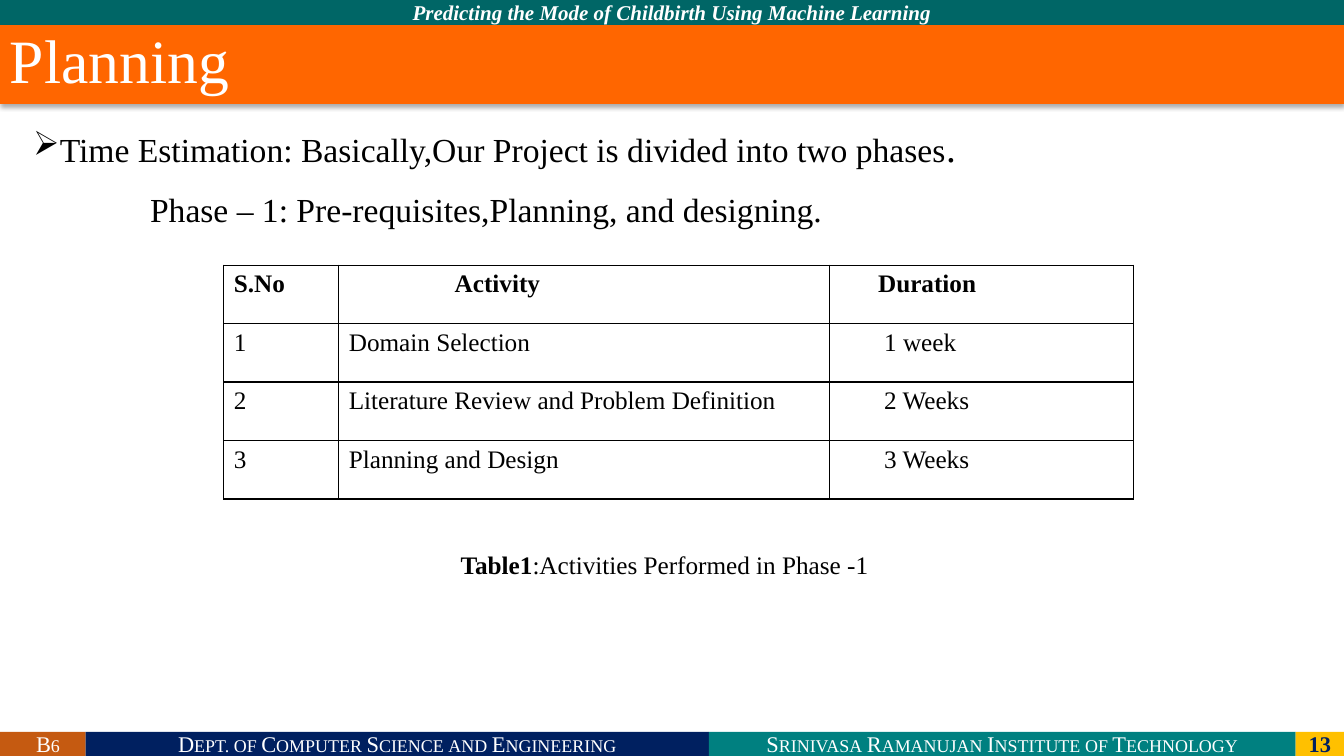
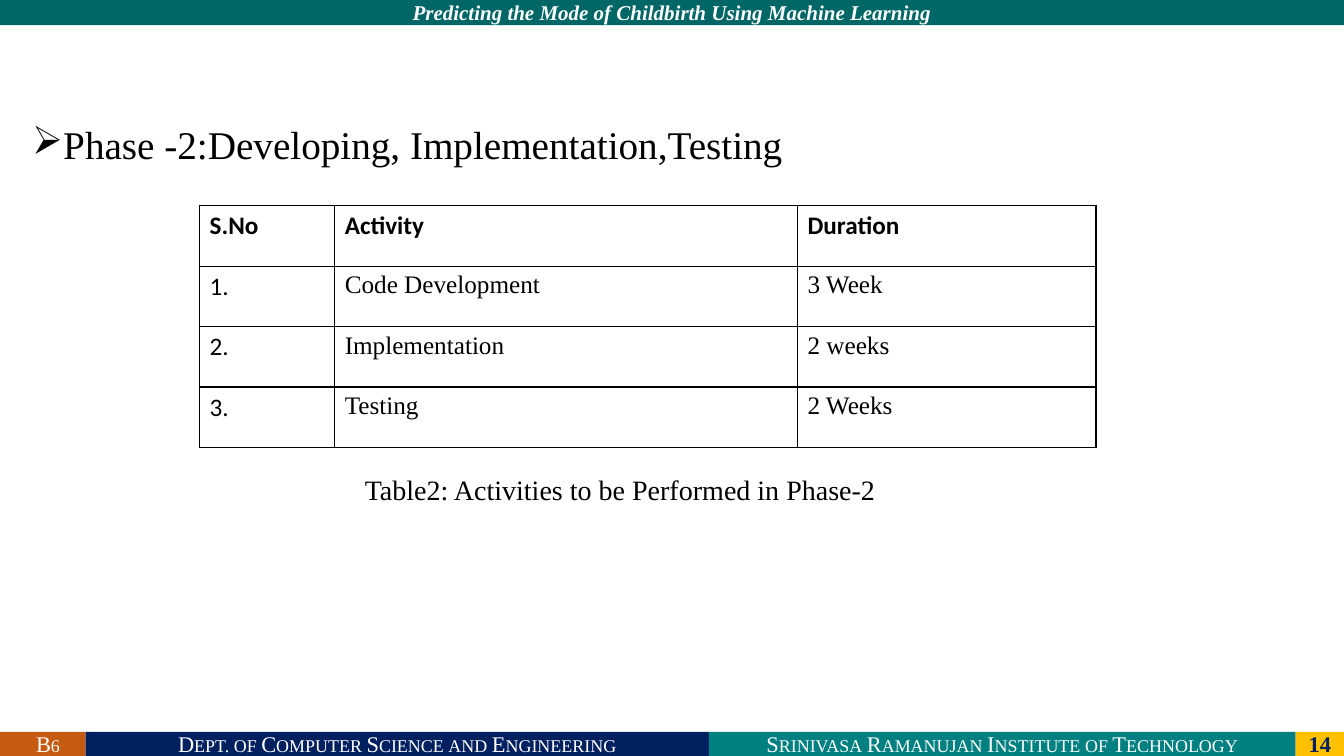
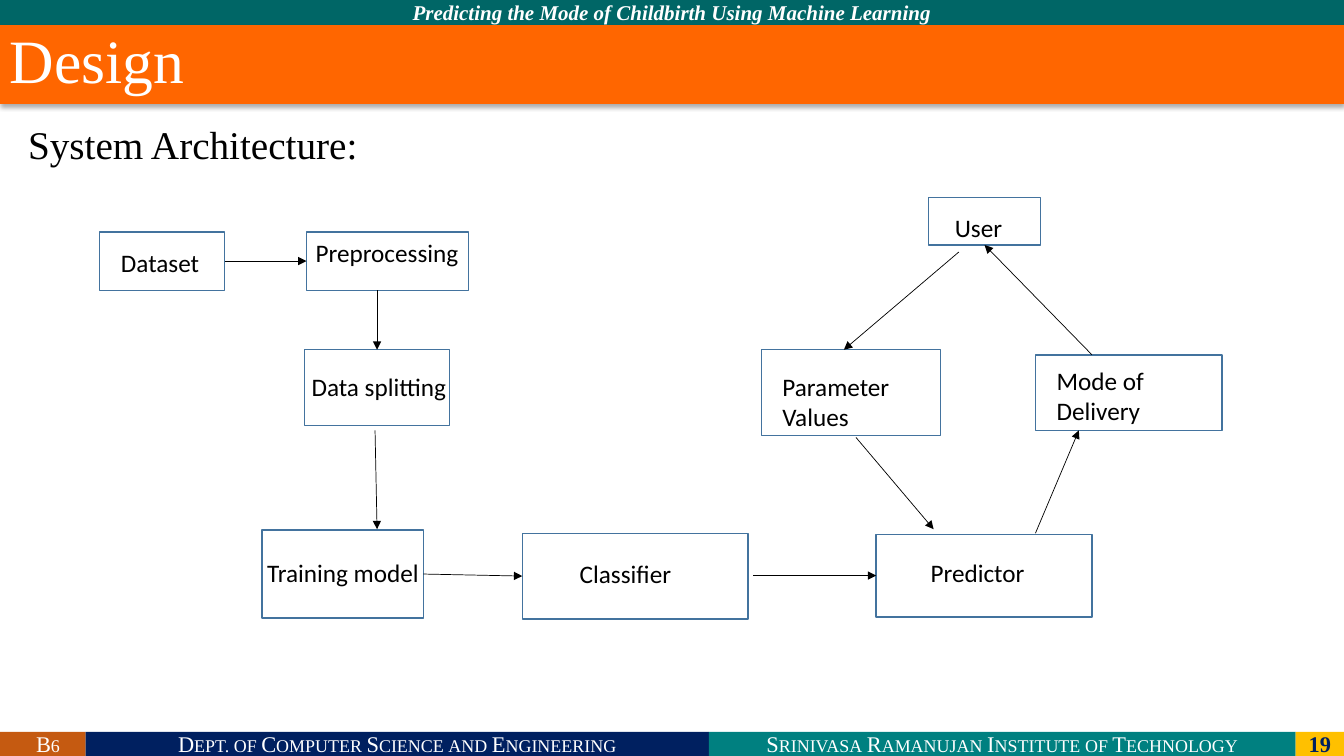
"""Build three project slides: two schedule tables and an architecture diagram."""
from dataclasses import dataclass, field, replace

import lxml.etree
import pptx
import pptx.dml.color
import pptx.enum.shapes
import pptx.enum.text
import pptx.oxml
import pptx.oxml.ns
import pptx.util

Inches = pptx.util.Inches
Pt = pptx.util.Pt
ALIGN = pptx.enum.text.PP_ALIGN
ANCHOR = pptx.enum.text.MSO_ANCHOR
TOP, LEFT, BOTTOM, RIGHT = range(4)


@dataclass(frozen=True)
class TextStyle:
    """Describe the look of a piece of text."""
    size: float
    color: str = "000000"
    font: str = "Times New Roman"
    bold: bool = False
    italic: bool = False
    small_caps: bool = False


@dataclass(frozen=True)
class Theme:
    """Hold the colours and type styles of the presentation."""
    white: str = "FFFFFF"
    black: str = "000000"
    teal: str = "006666"
    orange: str = "FF6600"
    rust: str = "C55A11"
    navy: str = "002060"
    sea: str = "008080"
    gold: str = "FFC000"
    outline: str = "43739E"
    header: TextStyle = TextStyle(15, "FFFFFF", bold=True, italic=True)
    title: TextStyle = TextStyle(44, "FFFFFF")
    footer: TextStyle = TextStyle(16, "FFFFFF", small_caps=True)
    number: TextStyle = TextStyle(16, "002060", bold=True)
    heading: TextStyle = TextStyle(28)
    body: TextStyle = TextStyle(24)
    caption: TextStyle = TextStyle(20)
    cell: TextStyle = TextStyle(18)
    label: TextStyle = TextStyle(18, font="Calibri")


THEME = Theme()


@dataclass
class Schedule:
    """Describe a schedule table by its columns and rows."""
    place: tuple
    column_widths: tuple
    row_height: float
    rows: list
    header_style: TextStyle
    column_styles: tuple
    header_insets: tuple = field(default=(0.1, 0.1, 0.1))
    column_insets: tuple = field(default=(0.1, 0.1, 0.1))


def rgb(color):
    """Return a colour object for a hexadecimal string."""
    return pptx.dml.color.RGBColor.from_string(color)


def add_xml(parent, markup):
    """Append a DrawingML element given as markup without namespaces."""
    name, rest = markup[1:].split(" ", 1)
    declaration = pptx.oxml.ns.nsdecls("a")
    parent.append(pptx.oxml.parse_xml(f"<{name} {declaration} {rest}"))


def apply_style(font, style):
    """Apply a text style to a font."""
    font.name = style.font
    font.size = Pt(style.size)
    font.bold = style.bold
    font.italic = style.italic
    font.color.rgb = rgb(style.color)


def write_paragraph(paragraph, runs, align=ALIGN.LEFT):
    """Write styled runs, setting the font on the paragraph if there is one."""
    paragraph.alignment = align
    for text, style in runs:
        run = paragraph.add_run()
        run.text = text
        if len(runs) > 1:
            apply_style(run.font, style)
    if len(runs) == 1:
        apply_style(paragraph.font, runs[0][1])
        if runs[0][1].small_caps:
            properties = paragraph._p.get_or_add_pPr()
            properties.get_or_add_defRPr().set("cap", "small")


def add_rectangle(slide, place, fill, outline=None):
    """Add a flat rectangle."""
    shape = slide.shapes.add_shape(
        pptx.enum.shapes.MSO_SHAPE.RECTANGLE, *map(Inches, place))
    shape.shadow.inherit = False
    shape.fill.solid()
    shape.fill.fore_color.rgb = rgb(fill)
    if outline:
        shape.line.color.rgb = rgb(outline)
        shape.line.width = Pt(1)
    else:
        shape.line.fill.background()
    return shape


def add_band(slide, place, fill, text, style, left_inset=0.1):
    """Add a coloured band with centred text."""
    band = add_rectangle(slide, place, fill)
    frame = band.text_frame
    frame.margin_left = Inches(left_inset)
    frame.vertical_anchor = ANCHOR.MIDDLE
    write_paragraph(frame.paragraphs[0], [(text, style)], ALIGN.CENTER)


def add_title(slide, text):
    """Add the orange title bar with its soft shadow."""
    bar = add_rectangle(slide, (0, 0.25, 13.33, 0.78), THEME.orange)
    add_xml(bar._element.spPr.find(pptx.oxml.ns.qn("a:effectLst")),
            f'<a:outerShdw blurRad="{Pt(3.5)}" dist="{Pt(2.2)}" dir="5400000" '
            f'rotWithShape="0"><a:srgbClr val="{THEME.black}">'
            '<a:alpha val="32000"/></a:srgbClr></a:outerShdw>')
    bar.text_frame.vertical_anchor = ANCHOR.TOP
    paragraph = bar.text_frame.paragraphs[0]
    paragraph.line_spacing = 0.9
    write_paragraph(paragraph, [(text, THEME.title)])


def add_text(slide, place, runs):
    """Add a wrapping text box with one paragraph and return its frame."""
    frame = slide.shapes.add_textbox(*map(Inches, place)).text_frame
    frame.word_wrap = True
    write_paragraph(frame.paragraphs[0], runs)
    return frame


def add_body(slide, place, runs, bullet=True):
    """Add the leading statement of a slide and return its frame."""
    frame = add_text(slide, place, [])
    paragraph = frame.paragraphs[0]
    if bullet:
        properties = paragraph._p.get_or_add_pPr()
        properties.set("marL", str(Inches(0.25)))
        properties.set("indent", str(-Inches(0.25)))
        add_xml(properties, '<a:buChar char="➢"/>')
    paragraph.line_spacing = 0.9
    paragraph.space_before = Pt(10)
    write_paragraph(paragraph, runs, ALIGN.JUSTIFY)
    return frame


def format_cell(cell, text, style, inset):
    """Write one table cell with black borders and a white fill."""
    for side in "LRTB":
        add_xml(cell._tc.get_or_add_tcPr(),
                f'<a:ln{side} w="{Pt(1)}"><a:solidFill>'
                f'<a:srgbClr val="{THEME.black}"/></a:solidFill></a:ln{side}>')
    cell.fill.solid()
    cell.fill.fore_color.rgb = rgb(THEME.white)
    cell.margin_left = Inches(inset)
    write_paragraph(cell.text_frame.paragraphs[0], [(text, style)])


def add_schedule(slide, schedule):
    """Add a schedule table."""
    row_count, column_count = len(schedule.rows), len(schedule.column_widths)
    table = slide.shapes.add_table(
        row_count, column_count, *map(Inches, schedule.place),
        Inches(sum(schedule.column_widths)),
        Inches(schedule.row_height * row_count)).table
    table.horz_banding = False
    for column, width in zip(table.columns, schedule.column_widths):
        column.width = Inches(width)
    for row_index, texts in enumerate(schedule.rows):
        table.rows[row_index].height = Inches(schedule.row_height)
        if row_index == 0:
            styles = [schedule.header_style] * column_count
            insets = schedule.header_insets
        else:
            styles, insets = schedule.column_styles, schedule.column_insets
        for index, text in enumerate(texts):
            format_cell(table.cell(row_index, index), text,
                        styles[index], insets[index])


def add_node(slide, place, text, left_inset, top_inset):
    """Add an outlined diagram box with its label."""
    node = add_rectangle(slide, place, THEME.white, THEME.outline)
    frame = node.text_frame
    frame.word_wrap = True
    frame.vertical_anchor = ANCHOR.TOP
    frame.margin_left = Inches(left_inset)
    frame.margin_top = Inches(top_inset)
    frame.margin_right = frame.margin_bottom = 0
    write_paragraph(frame.paragraphs[0], [(text, THEME.label)])
    return node


def add_arrow(slide, nodes, start, end):
    """Add an arrow between points or (node name, side) pairs."""
    arrow = slide.shapes.add_connector(
        pptx.enum.shapes.MSO_CONNECTOR.STRAIGHT, 0, 0, 0, 0)
    if start[0] in nodes:
        arrow.begin_connect(nodes[start[0]], start[1])
    else:
        arrow.begin_x, arrow.begin_y = map(Inches, start)
    if end[0] in nodes:
        arrow.end_connect(nodes[end[0]], end[1])
    else:
        arrow.end_x, arrow.end_y = map(Inches, end)
    arrow.line.color.rgb = rgb(THEME.black)
    arrow.line.width = Pt(0.5)
    add_xml(arrow.line._get_or_add_ln(), '<a:tailEnd type="triangle"/>')
    add_xml(arrow._element.spPr, "<a:effectLst />")


def add_slide(presentation, number, title=None):
    """Add a blank slide with the shared bands and an optional title."""
    slide = presentation.slides.add_slide(presentation.slide_layouts[6])
    add_band(slide, (0, 0, 13.33, 0.25), THEME.teal,
             "Predicting the Mode of Childbirth Using Machine Learning",
             THEME.header)
    footers = [
        (0.85, THEME.rust, "B6", THEME.footer, 0.2),
        (6.18, THEME.navy, "Dept. of Computer Science and Engineering",
         THEME.footer, 0.1),
        (5.82, THEME.sea, "Srinivasa Ramanujan Institute of Technology",
         THEME.footer, 0.1),
        (0.48, THEME.gold, str(number), THEME.number, 0.1),
    ]
    left = 0
    for width, fill, text, style, inset in footers:
        add_band(slide, (left, 7.26, width, 0.24), fill, text, style, inset)
        left += width
    if title:
        add_title(slide, title)
    return slide


def build_planning(presentation):
    """Build the first phase schedule."""
    slide = add_slide(presentation, 13, "Planning")
    frame = add_body(slide, (0.23, 1.23, 12.88, 1.2), [
        ("Time Estimation: Basically,Our Project is divided into two phases",
         THEME.body), (".", THEME.heading)])
    phase = frame.add_paragraph()
    phase._p.get_or_add_pPr().set("marL", str(Inches(1.16)))
    phase.line_spacing = 0.9
    phase.space_before = Pt(16)
    write_paragraph(
        phase, [("Phase – 1: Pre-requisites,Planning, and designing.",
                 THEME.body)], ALIGN.JUSTIFY)
    bold_cell = replace(THEME.cell, bold=True)
    add_schedule(slide, Schedule(
        (2.22, 2.63), (1.14, 4.87, 3.01), 0.58,
        [("S.No", "Activity", "Duration"),
         ("1", "Domain Selection", "1 week"),
         ("2", "Literature Review and Problem Definition", "2 Weeks"),
         ("3", "Planning and Design", "3 Weeks")],
        bold_cell, (THEME.cell,) * 3, (0.1, 1.15, 0.48), (0.1, 0.1, 0.54)))
    add_text(slide, (4.47, 5.4, 4.6, 0.4), [
        ("Table1", bold_cell),
        (":Activities Performed in Phase -1", THEME.cell)])


def build_second_phase(presentation):
    """Build the second phase schedule."""
    slide = add_slide(presentation, 14)
    add_body(slide, (0.22, 1.2, 12.88, 0.6), [
        ("Phase -2:Developing, Implementation,Testing", THEME.heading)])
    add_schedule(slide, Schedule(
        (1.98, 2.04), (1.34, 4.59, 2.96), 0.6,
        [("S.No", "Activity", "Duration"),
         ("1.", "Code Development", "3 Week"),
         ("2.", "Implementation", "2 weeks"),
         ("3.", "Testing", "2 Weeks")],
        replace(THEME.label, bold=True),
        (THEME.label, THEME.cell, THEME.cell)))
    add_text(slide, (3.52, 4.64, 5.6, 0.42), [
        ("Table2: Activities to be Performed in Phase-2", THEME.caption)])


def build_design(presentation):
    """Build the system architecture diagram."""
    slide = add_slide(presentation, 19, "Design")
    add_body(slide, (0.18, 1.2, 12.88, 0.6),
             [("System Architecture:", THEME.heading)], bullet=False)
    boxes = [
        ("Dataset", (0.99, 2.3, 1.24, 0.58), 0.21, 0.15),
        ("Preprocessing", (3.04, 2.3, 1.61, 0.58), 0.09, 0.05),
        ("Data splitting", (3.02, 3.47, 1.44, 0.75), 0.07, 0.21),
        ("Training model", (2.6, 5.26, 1.6, 0.87), 0.05, 0.27),
        ("Classifier", (5.18, 5.29, 2.24, 0.85), 0.57, 0.25),
        ("Predictor", (8.69, 5.3, 2.14, 0.82), 0.54, 0.23),
        ("User", (9.21, 1.96, 1.11, 0.47), 0.26, 0.15),
        ("Parameter Values", (7.55, 3.47, 1.78, 0.85), 0.21, 0.21),
        ("Mode of Delivery", (10.27, 3.52, 1.85, 0.75), 0.21, 0.1),
    ]
    nodes = {text: add_node(slide, place, text, left_inset, top_inset)
             for text, place, left_inset, top_inset in boxes}
    arrows = [
        (("Dataset", RIGHT), ("Preprocessing", LEFT)),
        ((3.74, 2.88), ("Data splitting", TOP)),
        ((3.72, 4.27), (3.74, 5.25)),
        (("Training model", RIGHT), ("Classifier", LEFT)),
        ((7.47, 5.71), ("Predictor", LEFT)),
        ((9.51, 2.5), (8.37, 3.47)),
        ((8.49, 4.34), (9.26, 5.25)),
        ((10.27, 5.29), (10.7, 4.27)),
        ((10.83, 3.52), ("User", BOTTOM)),
    ]
    for start, end in arrows:
        add_arrow(slide, nodes, start, end)


def main():
    """Build and save the presentation."""
    presentation = pptx.Presentation()
    presentation.slide_width = Inches(13.33)
    presentation.slide_height = Inches(7.5)
    build_planning(presentation)
    build_second_phase(presentation)
    build_design(presentation)
    presentation.save("out.pptx")


if __name__ == "__main__":
    main()
